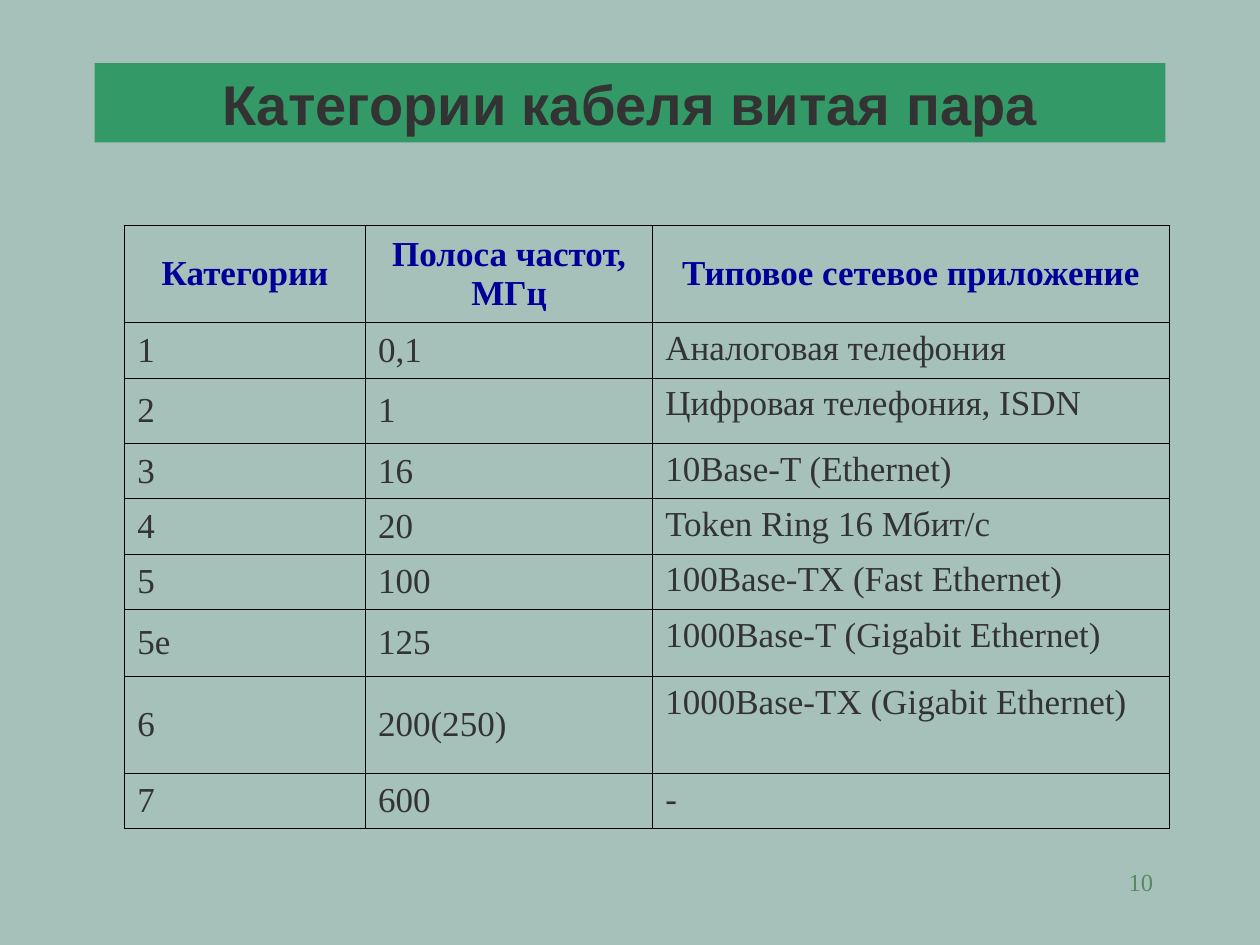
from lxml import etree
from pptx import Presentation
from pptx.dml.color import RGBColor
from pptx.enum import text
from pptx.oxml import ns
from pptx.util import Inches, Pt

COLORS = {"background": "A5C1BA", "banner": "339966", "text": "333333",
          "header": "000099", "border": "000000", "number": "578963"}
SERIF = "Times New Roman"

TITLE = "Категории кабеля витая пара"
PAGE_NUMBER = "10"
HEADERS = ("Категории", "Полоса частот, МГц", "Типовое сетевое приложение")
CATEGORIES = [
    ("1", "0,1", "Аналоговая телефония"),
    ("2", "1", "Цифровая телефония, ISDN"),
    ("3", "16", "10Base-T (Ethernet)"),
    ("4", "20", "Token Ring 16 Мбит/с"),
    ("5", "100", "100Base-TX (Fast Ethernet)"),
    ("5е", "125", "1000Base-T (Gigabit Ethernet)"),
    ("6", "200(250)", "1000Base-TX (Gigabit Ethernet)"),
    ("7", "600", "-"),
]
COLUMN_WIDTHS = (1.91, 2.28, 4.1)
ROW_HEIGHTS = (0.77, 0.44, 0.52, 0.44, 0.44, 0.44, 0.53, 0.77, 0.44)


def rgb(name):
    return RGBColor.from_string(COLORS[name])


def write(tf, words, size=20, font=SERIF, color="text", bold=False,
          align=text.PP_ALIGN.LEFT):
    tf.word_wrap = True
    p = tf.paragraphs[0]
    p.alignment = align
    r = p.add_run()
    r.text = words
    r.font.size = Pt(size)
    r.font.name = font
    r.font.bold = bold
    r.font.color.rgb = rgb(color)


def add_borders(cell, width=0.45):
    """Outline a cell; the lines must come before the fill in its properties."""
    props = cell._tc.get_or_add_tcPr()
    for i, side in enumerate(("lnL", "lnR", "lnT", "lnB")):
        line = etree.Element(ns.qn(f"a:{side}"), w=str(Pt(width)))
        fill = etree.SubElement(line, ns.qn("a:solidFill"))
        etree.SubElement(fill, ns.qn("a:srgbClr"), val=COLORS["border"])
        props.insert(i, line)


def add_title(s):
    sp = s.shapes.title
    sp.left, sp.top, sp.width, sp.height = map(Inches, (0.75, 0.5, 8.5, 0.63))
    sp.fill.solid()
    sp.fill.fore_color.rgb = rgb("banner")
    tf = sp.text_frame
    tf.vertical_anchor = text.MSO_ANCHOR.MIDDLE
    tf.auto_size = text.MSO_AUTO_SIZE.NONE
    write(tf, TITLE, size=32, font="Arial", bold=True,
          align=text.PP_ALIGN.CENTER)


def add_category_table(s):
    rows = [HEADERS, *CATEGORIES]
    table = s.shapes.add_table(
        len(rows), len(HEADERS), Inches(0.99), Inches(1.79),
        Inches(sum(COLUMN_WIDTHS)), Inches(sum(ROW_HEIGHTS))).table
    table.horz_banding = False
    table.first_row = False
    for column, width in zip(table.columns, COLUMN_WIDTHS):
        column.width = Inches(width)
    for row, height in zip(table.rows, ROW_HEIGHTS):
        row.height = Inches(height)

    header = dict(color="header", bold=True, align=text.PP_ALIGN.CENTER)
    for i, row in enumerate(rows):
        for j, words in enumerate(row):
            cell = table.cell(i, j)
            cell.fill.background()
            is_application = i > 0 and j == 2
            cell.vertical_anchor = (text.MSO_ANCHOR.TOP if is_application
                                    else text.MSO_ANCHOR.MIDDLE)
            write(cell.text_frame, words, **(header if i == 0 else {}))
            add_borders(cell)


def add_page_number(s):
    sp = s.shapes.add_textbox(*map(Inches, (7.17, 6.83, 2.08, 0.5)))
    write(sp.text_frame, PAGE_NUMBER, size=14, color="number",
          align=text.PP_ALIGN.RIGHT)


def main():
    prs = Presentation()
    prs.slide_width, prs.slide_height = Inches(10), Inches(7.5)
    s = prs.slides.add_slide(prs.slide_layouts[5])
    s.background.fill.solid()
    s.background.fill.fore_color.rgb = rgb("background")
    add_title(s)
    add_category_table(s)
    add_page_number(s)
    prs.save("out.pptx")


if __name__ == "__main__":
    main()
